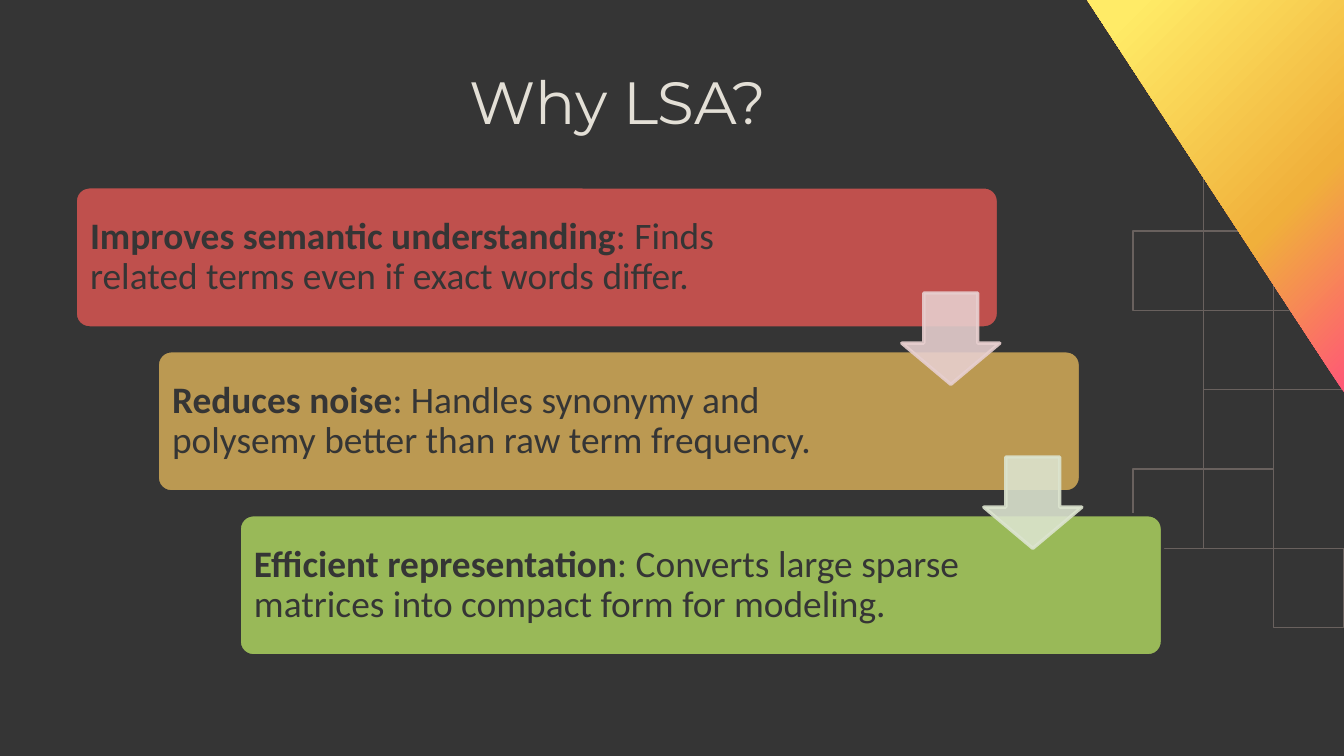
from lxml.etree import SubElement
from pptx import Presentation
from pptx.dml.color import RGBColor
from pptx.enum.shapes import MSO_SHAPE
from pptx.enum.text import MSO_ANCHOR, PP_ALIGN
from pptx.oxml.ns import qn
from pptx.util import Inches, Pt

WIDTH = 10
HEIGHT = WIDTH * 9 / 16
COLORS = {
    "ground": "353535", "title": "E3DFD6", "grid": "69615E",
    "red": "BF504D", "tan": "BB9952", "green": "99B958",
    "pink_arrow": "E7CFCF", "lime_arrow": "DCE4CF",
    "pink": "FF5777", "orange": "F0B03B", "yellow": "FFEB67",
}
REASONS = [
    ("red", "Improves semantic understanding",
     ": Finds related terms even if exact words differ.", 5.62),
    ("tan", "Reduces noise",
     ": Handles synonymy and polysemy better than raw term frequency.", 5.48),
    ("green", "Efficient representation",
     ": Converts large sparse matrices into compact form for modeling.", 5.48),
]
ARROWS = ["pink_arrow", "lime_arrow"]
GRID_CELLS = [(1, 0), (2, 5), (2, 0), (0, 1), (1, 1), (2, 1), (0, 4),
              (1, 2), (2, 2), (1, 4), (1, 3)]
GRADIENT = [(0, "pink"), (37, "orange"), (92, "yellow"), (100, "yellow")]


def rgb(name):
    return RGBColor.from_string(COLORS[name])


def add_block(slide, preset, box, fill, line, points, adjustments=()):
    block = slide.shapes.add_shape(preset, *map(Inches, box))
    block.shadow.inherit = False
    if fill:
        block.fill.solid()
        block.fill.fore_color.rgb = rgb(fill)
    else:
        block.fill.background()
    block.line.color.rgb = rgb(line)
    block.line.width = Pt(points)
    for index, value in enumerate(adjustments):
        block.adjustments[index] = value
    return block


def draw_grid(slide, box):
    left, top, width, height = box
    column, row = width / 3, height / 6
    for across, down in GRID_CELLS:
        cell = (left + across * column, top + down * row, column, row)
        add_block(slide, MSO_SHAPE.RECTANGLE, cell, None, "grid", 0.75)


def draw_corner(slide, box):
    left, top, width, height = map(Inches, box)
    builder = slide.shapes.build_freeform(left, top)
    builder.add_line_segments([(left + width, top), (left + width, top + height)])
    corner = builder.convert_to_shape()
    corner.shadow.inherit = False
    corner.line.fill.background()
    corner.fill.gradient()
    corner.fill.gradient_angle = 135
    stops = corner._element.spPr.find(qn("a:gradFill")).find(qn("a:gsLst"))
    for stop in list(stops):
        stops.remove(stop)
    for percent, name in GRADIENT:
        stop = SubElement(stops, qn("a:gs"), pos=str(percent * 1000))
        SubElement(stop, qn("a:srgbClr"), val=COLORS[name])


def write_title(slide, box):
    title = slide.shapes.title
    title.left, title.top, title.width, title.height = map(Inches, box)
    frame = title.text_frame
    frame.text = "Why LSA?"
    frame.vertical_anchor = MSO_ANCHOR.TOP
    frame.margin_left = frame.margin_right = Inches(0.1)
    frame.margin_top = frame.margin_bottom = Inches(0.05)
    paragraph = frame.paragraphs[0]
    paragraph.alignment = PP_ALIGN.CENTER
    paragraph.font.name = "Montserrat"
    paragraph.font.size = Pt(31.9)
    paragraph.font.color.rgb = rgb("title")


def write_reason(slide, box, heading, detail):
    frame = slide.shapes.add_textbox(*map(Inches, box)).text_frame
    frame.word_wrap = True
    frame.vertical_anchor = MSO_ANCHOR.MIDDLE
    frame.margin_left = frame.margin_right = Inches(0.08)
    frame.margin_top = frame.margin_bottom = Inches(0.08)
    paragraph = frame.paragraphs[0]
    paragraph.line_spacing = 0.9
    paragraph.font.name = "Calibri"
    paragraph.font.size = Pt(20)
    paragraph.font.color.rgb = rgb("ground")
    for words, bold in ((heading, True), (detail, False)):
        run = paragraph.add_run()
        run.text = words
        run.font.bold = bold


def draw_staircase(slide, box):
    left, top, width, height = box
    card_width, card_height = 6.87, 1.05
    step_x = (width - card_width) / (len(REASONS) - 1)
    step_y = (height - card_height) / (len(REASONS) - 1)
    corners = [(left + i * step_x, top + i * step_y) for i in range(len(REASONS))]
    for (x, y), (color, *_) in zip(corners, REASONS):
        add_block(slide, MSO_SHAPE.ROUNDED_RECTANGLE, (x, y, card_width, card_height),
                  color, "ground", 1.82, [0.1])
    for (x, y), color in zip(corners, ARROWS):
        arrow = add_block(slide, MSO_SHAPE.DOWN_ARROW, (x + 6.15, y + 0.79, 0.73, 0.68),
                          color, color, 1.82, [0.55, 0.45])
        for tint in arrow._element.spPr.iter(qn("a:srgbClr")):
            SubElement(tint, qn("a:alpha"), val="89000")
    for (x, y), (_, heading, detail, text_width) in zip(corners, REASONS):
        write_reason(slide, (x + 0.03, y + 0.03, text_width, card_height - 0.06),
                     heading, detail)


def main():
    deck = Presentation()
    deck.slide_width, deck.slide_height = Inches(WIDTH), Inches(HEIGHT)
    slide = deck.slides.add_slide(deck.slide_layouts[5])
    slide.background.fill.solid()
    slide.background.fill.fore_color.rgb = rgb("ground")
    draw_grid(slide, (8.43, 1.13, WIDTH - 8.43, 3.54))
    draw_corner(slide, (8.09, 0, WIDTH - 8.09, 2.92))
    write_title(slide, (0.9, 0.43, 7.4, 1.32))
    draw_staircase(slide, (0.56, 1.39, 8.09, 3.49))
    deck.save("out.pptx")


if __name__ == "__main__":
    main()
